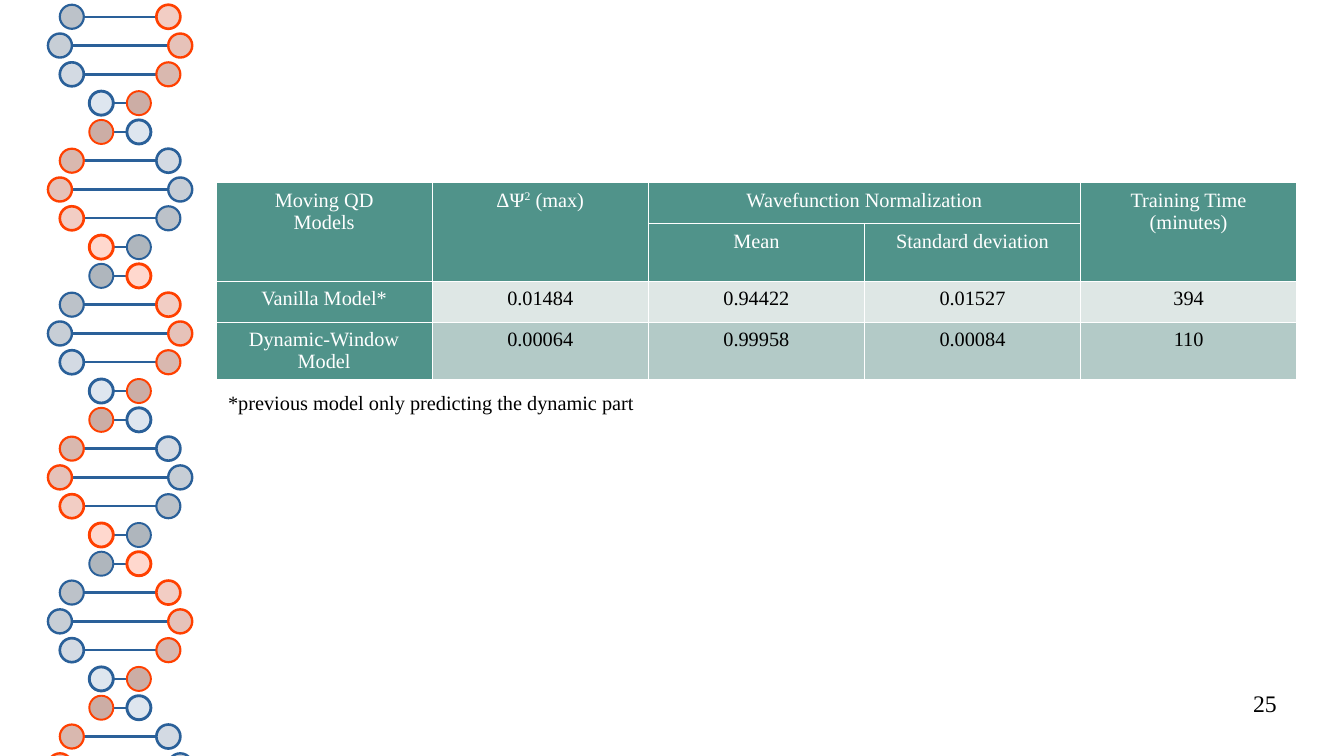
from lxml import etree
from pptx import Presentation
from pptx.dml.color import RGBColor
from pptx.enum import shapes, text
from pptx.oxml.ns import qn
from pptx.util import Pt

FONT = "Times New Roman"
BLUE, ORANGE, TEAL = "2A6099", "FF4000", "50938A"
WHITE, BLACK = "FFFFFF", "000000"

HELIX_X, HELIX_TOP, RUNG_STEP, BEAD = 70.9, 9.9, 17, 14.2
RUNG_COUNT = 27
# blue-bead offset from the axis, blue fill and line, orange fill and line
RUNGS = [
    (-28.5, "BCC2C9", 1.28, "F2CDC4", 1.56),
    (-35.5, "C7CED6", 1.42, "E6C2B9", 1.42),
    (-28.5, "D3DAE3", 1.56, "D9B8AF", 1.28),
    (-11.1, "DEE6EF", 1.7, "CCADA5", 1.13),
    (11.1, "DEE6EF", 1.7, "CCADA5", 1.13),
    (28.5, "D3DAE3", 1.56, "D9B8AF", 1.28),
    (35.5, "C7CED6", 1.42, "E6C2B9", 1.42),
    (28.5, "BCC2C9", 1.28, "F2CDC4", 1.56),
    (11.1, "AFB6BD", 1.13, "FFD8CE", 1.7),
    (-11.1, "AFB6BD", 1.13, "FFD8CE", 1.7),
]

ROWS = [
    ["Moving QD\nModels", "ΔΨ^2^ (max)", "Wavefunction Normalization", "",
     "Training Time\n(minutes)"],
    ["", "", "Mean", "Standard deviation", ""],
    ["Vanilla Model*", "0.01484", "0.94422", "0.01527", "394"],
    ["Dynamic-Window Model", "0.00064", "0.99958", "0.00084", "110"],
]
ROW_HEIGHTS = [24.2, 32.4, 24.2, 32.4]
ROW_FILLS = [TEAL, TEAL, "DEE7E5", "B3CAC7"]
COL_WIDTH = 127.6
MERGES = [((0, 0), (1, 0)), ((0, 1), (1, 1)), ((0, 2), (0, 3)), ((0, 4), (1, 4))]


def rgb(color):
    return RGBColor.from_string(color)


def write(tf, content, size, color, align):
    tf.text = content.replace("^", "")
    for p, line in zip(tf.paragraphs, content.split("\n")):
        p.alignment = align
        if "^" in line:
            p.text = ""
            for i, part in enumerate(line.split("^")):
                r = p.add_run()
                r.text = part
                if i % 2:
                    r._r.get_or_add_rPr().set("baseline", "33000")
        for r in p.runs:
            r.font.name = FONT
            r.font.size = Pt(size)
            r.font.color.rgb = rgb(color)


def add_text(s, x, y, w, h, content, size, align, inset=(0, 0)):
    tf = s.shapes.add_textbox(Pt(x), Pt(y), Pt(w), Pt(h)).text_frame
    tf.word_wrap = True
    tf.margin_left = tf.margin_right = Pt(inset[0])
    tf.margin_top = tf.margin_bottom = Pt(inset[1])
    write(tf, content, size, BLACK, align)


def add_bead(group, x, y, fill, line, weight):
    sp = group.shapes.add_shape(shapes.MSO_SHAPE.OVAL, Pt(x - BEAD / 2),
                                Pt(y - BEAD / 2), Pt(BEAD), Pt(BEAD))
    sp.shadow.inherit = False
    sp.fill.solid()
    sp.fill.fore_color.rgb = rgb(fill)
    sp.line.color.rgb = rgb(line)
    sp.line.width = Pt(weight)


def add_bond(group, x, y, reach):
    half = reach - BEAD / 2
    cn = group.shapes.add_connector(shapes.MSO_CONNECTOR.STRAIGHT,
                                    Pt(x - half), Pt(y), Pt(x + half), Pt(y))
    cn.line.color.rgb = rgb(BLUE)
    cn.line.width = Pt(1.42)
    etree.SubElement(cn._element.spPr, qn("a:effectLst"))


def add_helix(s):
    group = s.shapes.add_group_shape()
    for i in range(RUNG_COUNT):
        offset, blue, blue_line, orange, orange_line = RUNGS[i % len(RUNGS)]
        y = HELIX_TOP + i * RUNG_STEP
        if i < RUNG_COUNT - 1:
            add_bond(group, HELIX_X, y, abs(offset))
        add_bead(group, HELIX_X + offset, y, blue, BLUE, blue_line)
        add_bead(group, HELIX_X - offset, y, orange, ORANGE, orange_line)


def add_borders(cell):
    tcPr = cell._tc.get_or_add_tcPr()
    for side in ("lnL", "lnR", "lnT", "lnB"):
        ln = etree.SubElement(tcPr, qn("a:" + side), w=str(Pt(0.57)))
        fill = etree.SubElement(ln, qn("a:solidFill"))
        etree.SubElement(fill, qn("a:srgbClr"), val=WHITE)


def format_cell(cell, content, fill, color):
    add_borders(cell)
    cell.fill.solid()
    cell.fill.fore_color.rgb = rgb(fill)
    cell.margin_left = cell.margin_right = Pt(3)
    cell.margin_top = cell.margin_bottom = Pt(3.6)
    write(cell.text_frame, content, 12, color, text.PP_ALIGN.CENTER)


def add_results(s, x, y):
    cols = len(ROWS[0])
    table = s.shapes.add_table(len(ROWS), cols, Pt(x), Pt(y), Pt(cols * COL_WIDTH),
                               Pt(sum(ROW_HEIGHTS))).table
    table.first_row = table.horz_banding = False
    for col in table.columns:
        col.width = Pt(COL_WIDTH)
    for i, row in enumerate(ROWS):
        table.rows[i].height = Pt(ROW_HEIGHTS[i])
        for j, content in enumerate(row):
            header = i < 2 or j == 0
            format_cell(table.cell(i, j), content, TEAL if header else ROW_FILLS[i],
                        WHITE if header else BLACK)
    for first, last in MERGES:
        table.cell(*first).merge(table.cell(*last))


def main():
    prs = Presentation()
    prs.slide_width, prs.slide_height = Pt(793.44), Pt(446.4)
    s = prs.slides.add_slide(prs.slide_layouts[6])
    add_helix(s)
    add_results(s, 127.6, 108)
    add_text(s, 127.6, 226.8, 269.3, 28, "*previous model only predicting the dynamic part",
             12, text.PP_ALIGN.LEFT, (7.2, 3.6))
    add_text(s, 568.8, 406.8, 185, 31, "25", 14, text.PP_ALIGN.RIGHT)
    prs.save("out.pptx")


if __name__ == "__main__":
    main()
